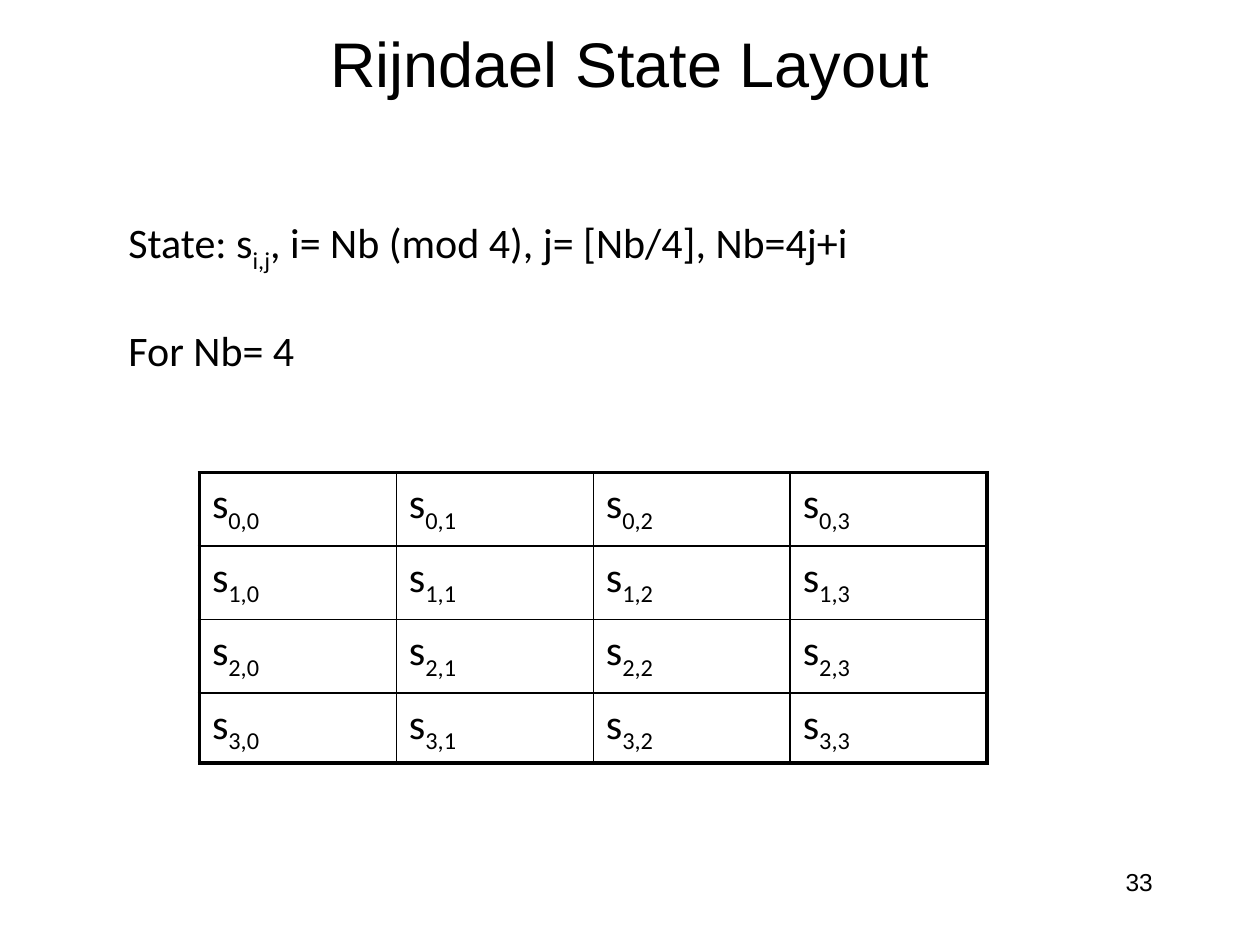
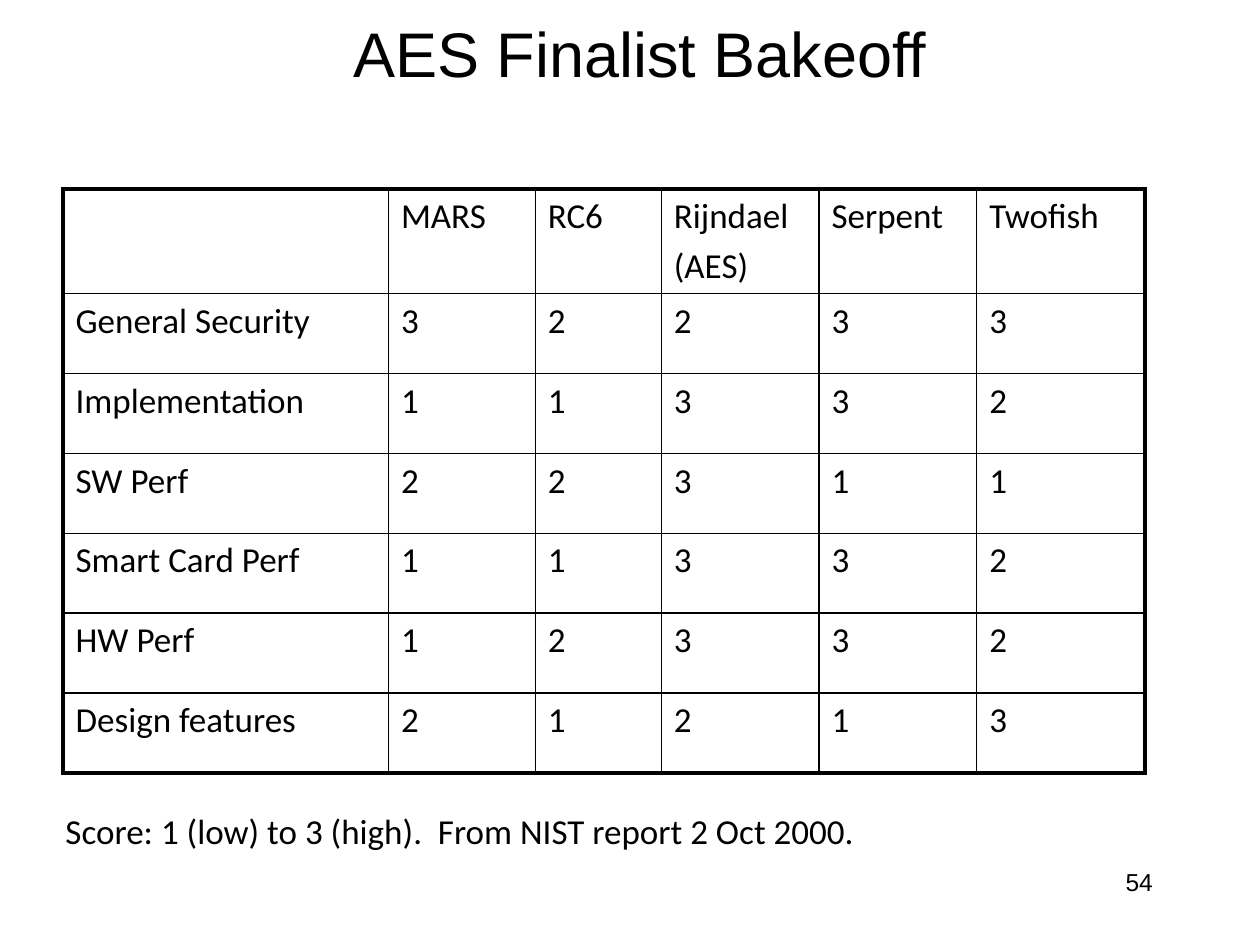
from dataclasses import dataclass

from lxml.etree import SubElement
from pptx import Presentation
from pptx.dml.color import RGBColor
from pptx.enum.text import MSO_ANCHOR, PP_ALIGN
from pptx.oxml.ns import qn
from pptx.util import Cm, Pt


@dataclass(frozen=True)
class Theme:
    ink: str = "000000"
    heading_font: str = "Arial"
    body_font: str = "Calibri"
    title_size: int = 36
    state_size: int = 24
    score_size: int = 20
    number_size: int = 14
    inner_line: float = 1
    outer_line: float = 2.25


THEME = Theme()


def add_runs(p, parts, size, font=THEME.body_font):
    """Add the parts run by run; every second part is a subscript."""
    for i, part in enumerate(parts):
        r = p.add_run()
        r.text = part
        r.font.size = Pt(size)
        r.font.name = font
        r.font.color.rgb = RGBColor.from_string(THEME.ink)
        if i % 2:
            r._r.get_or_add_rPr().set("baseline", "-25000")


def fill_text(tf, paragraphs, size, gap, font=THEME.body_font):
    """Write one paragraph per tuple of parts, with gap points between them."""
    for i, parts in enumerate(paragraphs):
        p = tf.add_paragraph() if i else tf.paragraphs[0]
        if i:
            p.space_before = Pt(gap)
        add_runs(p, parts, size, font)


def add_text(s, box, paragraphs, size, font=THEME.body_font, align=PP_ALIGN.LEFT,
             anchor=MSO_ANCHOR.TOP, gap=0, line_spacing=1.0):
    tf = s.shapes.add_textbox(*map(Cm, box)).text_frame
    tf.word_wrap = True
    tf.vertical_anchor = anchor
    fill_text(tf, paragraphs, size, gap, font)
    for p in tf.paragraphs:
        p.alignment = align
        p.line_spacing = line_spacing


def add_slide(prs, title, title_box, number):
    s = prs.slides.add_slide(prs.slide_layouts[6])
    add_text(s, (18.21, 17.35, 5.28, 1.27), [(str(number),)], THEME.number_size,
             THEME.heading_font, PP_ALIGN.RIGHT)
    add_text(s, title_box, [(title,)], THEME.title_size, THEME.heading_font,
             PP_ALIGN.CENTER, MSO_ANCHOR.MIDDLE)
    return s


def set_border(cell, tag, width):
    ln = SubElement(cell._tc.get_or_add_tcPr(), qn(tag), w=str(Pt(width)))
    SubElement(SubElement(ln, qn("a:solidFill")), qn("a:srgbClr"), val=THEME.ink)


def add_grid(s, left, top, widths, heights, rows, size):
    """Add a ruled table with a heavy frame; each cell is a list of paragraphs."""
    tbl = s.shapes.add_table(len(heights), len(widths), Cm(left), Cm(top),
                             Cm(sum(widths)), Cm(sum(heights))).table
    tbl.first_row = tbl.horz_banding = False
    for column, width in zip(tbl.columns, widths):
        column.width = Cm(width)
    for row, height in zip(tbl.rows, heights):
        row.height = Cm(height)
    last_row, last_col = len(heights) - 1, len(widths) - 1
    for i, row in enumerate(rows):
        for j, paragraphs in enumerate(row):
            cell = tbl.cell(i, j)
            fill_text(cell.text_frame, paragraphs, size, gap=size * 0.2)
            outer_sides = {"a:lnL": j == 0, "a:lnR": j == last_col,
                           "a:lnT": i == 0, "a:lnB": i == last_row}
            for tag, outer in outer_sides.items():
                set_border(cell, tag, THEME.outer_line if outer else THEME.inner_line)
            cell.fill.background()


def add_state_slide(prs):
    s = add_slide(prs, "Rijndael State Layout", (1.9, 0.2, 21.59, 2.11), 33)
    add_text(s, (2.34, 4.24, 19.74, 3.33),
             [("State: s", "i,j", ", i= Nb (mod 4), j= [Nb/4], Nb=4j+i"),
              ("For Nb= 4",)],
             THEME.state_size, gap=29)
    state = [[[("s", f"{i},{j}")] for j in range(4)] for i in range(4)]
    add_grid(s, 4.02, 9.53, [3.97] * 4, [1.48] * 3 + [1.27], state, THEME.state_size)


def add_bakeoff_slide(prs):
    s = add_slide(prs, "AES Finalist Bakeoff", (2.11, 0.2, 21.59, 1.7), 54)
    add_text(s, (1.07, 16.3, 22.23, 0.84),
             [("Score: 1 (low) to 3 (high).  From NIST report 2 Oct 2000.",)],
             THEME.score_size, line_spacing=0.9)
    finalists = [[], ["MARS"], ["RC6"], ["Rijndael", "(AES)"], ["Serpent"], ["Twofish"]]
    scores = {
        "General Security": (3, 2, 2, 3, 3),
        "Implementation": (1, 1, 3, 3, 2),
        "SW Perf": (2, 2, 3, 1, 1),
        "Smart Card Perf": (1, 1, 3, 3, 2),
        "HW Perf": (1, 2, 3, 3, 2),
        "Design features": (2, 1, 2, 1, 3),
    }
    rows = [[[(line,) for line in lines] for lines in finalists]]
    for criterion, values in scores.items():
        rows.append([[(str(value),)] for value in (criterion, *values)])
    add_grid(s, 1.27, 3.81, [6.56, 2.96, 2.54, 3.18, 3.18, 3.39],
             [2.11] + [1.61] * len(scores), rows, THEME.score_size)


def main():
    prs = Presentation()
    prs.slide_width, prs.slide_height = Cm(25.4), Cm(19.05)
    add_state_slide(prs)
    add_bakeoff_slide(prs)
    prs.save("out.pptx")


if __name__ == "__main__":
    main()
